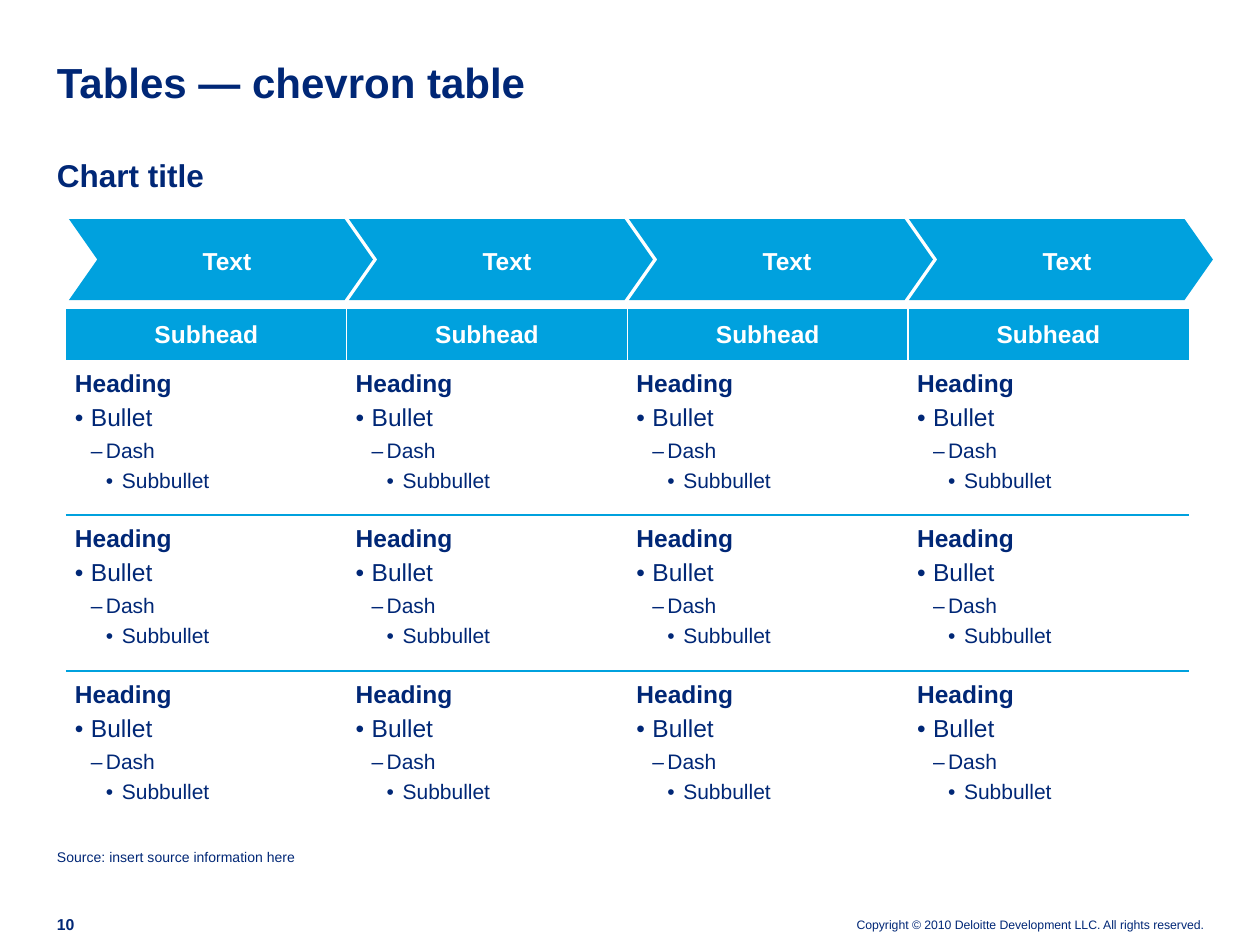
from lxml.etree import SubElement
from pptx import Presentation
from pptx.dml.color import RGBColor
from pptx.enum.shapes import MSO_SHAPE as Shape
from pptx.enum.text import MSO_ANCHOR as Anchor, PP_ALIGN as Align
from pptx.oxml.ns import qn
from pptx.util import Pt

SCALE = 914400 / 126
COLORS = {"navy": "002776", "blue": "00A1DE", "white": "FFFFFF"}
NO_STYLE = "{2D5ABB26-0587-4C30-8999-92F81FD0307C}"
COLUMNS = 4
ROW_HEIGHTS = [45, 155, 156, 181]
CELL_LINES = [
    ("Heading", 14, True, 49, -49, None),
    ("Bullet", 14, False, 16, -16, "•"),
    ("Dash", 12, False, 31, -15, "‒"),
    ("Subbullet", 12, False, 47, -16, "•"),
]


def px(value):
    return round(value * SCALE)


def rgb(name):
    return RGBColor.from_string(COLORS[name])


def style(paragraph, size, color, bold=False, align=Align.LEFT):
    paragraph.alignment = align
    for run in paragraph.runs:
        run.font.name = "Arial"
        run.font.size = Pt(size)
        run.font.bold = bold
        run.font.color.rgb = rgb(color)


def set_margins(target, left, top, right, bottom):
    target.margin_left, target.margin_top = px(left), px(top)
    target.margin_right, target.margin_bottom = px(right), px(bottom)


def add_label(slide, box, text, size, bold=False, align=Align.LEFT, anchor=Anchor.TOP):
    text_frame = slide.shapes.add_textbox(*map(px, box)).text_frame
    text_frame.word_wrap = True
    text_frame.vertical_anchor = anchor
    set_margins(text_frame, 0, 0, 0, 0)
    text_frame.text = text
    paragraph = text_frame.paragraphs[0]
    style(paragraph, size, "navy", bold, align)
    return paragraph


def add_chevrons(slide, box, pitch):
    left, top, width, height = box
    for index in range(COLUMNS):
        shape = slide.shapes.add_shape(
            Shape.CHEVRON, px(left + index * pitch), px(top), px(width), px(height))
        shape.adjustments[0] = 0.35
        shape.shadow.inherit = False
        shape.fill.solid()
        shape.fill.fore_color.rgb = rgb("blue")
        shape.line.fill.background()
        text_frame = shape.text_frame
        text_frame.word_wrap = True
        text_frame.vertical_anchor = Anchor.MIDDLE
        set_margins(text_frame, 25, 6, 13, 6)
        text_frame.text = "Text"
        paragraph = text_frame.paragraphs[0]
        paragraph.line_spacing = 1.06
        style(paragraph, 14, "white", True, Align.CENTER)


def add_borders(cell, sides, color):
    properties = cell._tc.get_or_add_tcPr()
    for index, side in enumerate(sides):
        line = SubElement(properties, qn(f"a:ln{side}"), w=str(Pt(1)))
        fill = SubElement(line, qn("a:solidFill"))
        SubElement(fill, qn("a:srgbClr"), val=COLORS[color])
        properties.insert(index, line)


def fill_header(cell, column):
    cell.fill.solid()
    cell.fill.fore_color.rgb = rgb("blue")
    cell.vertical_anchor = Anchor.MIDDLE
    set_margins(cell, 13, 10, 13, 10)
    cell.text_frame.text = "Subhead"
    paragraph = cell.text_frame.paragraphs[0]
    paragraph.line_spacing = 1.06
    style(paragraph, 14, "white", True, Align.CENTER)
    sides = ("L" if column > 0 else "") + ("R" if column < COLUMNS - 1 else "")
    add_borders(cell, sides, "white")


def fill_body(cell, row):
    cell.fill.background()
    cell.vertical_anchor = Anchor.TOP
    set_margins(cell, 9, 10, 9, 10)
    cell.text_frame.text = "\n".join(line[0] for line in CELL_LINES)
    for level, paragraph in enumerate(cell.text_frame.paragraphs):
        text, size, bold, margin, indent, bullet = CELL_LINES[level]
        paragraph.level = level
        if level:
            paragraph.space_before = Pt(4)
        properties = paragraph._p.get_or_add_pPr()
        properties.set("marL", str(px(margin)))
        properties.set("indent", str(px(indent)))
        if bullet:
            SubElement(properties, qn("a:buFont"), typeface="Arial")
            SubElement(properties, qn("a:buChar"), char=bullet)
        style(paragraph, size, "navy", bold)
    sides = ("T" if row > 1 else "") + ("B" if row < len(ROW_HEIGHTS) - 1 else "")
    add_borders(cell, sides, "blue")


def add_grid(slide, box):
    table = slide.shapes.add_table(len(ROW_HEIGHTS), COLUMNS, *map(px, box)).table
    table._tbl.tblPr.find(qn("a:tableStyleId")).text = NO_STYLE
    table.first_row = False
    table.horz_banding = False
    for column in table.columns:
        column.width = px(box[2] / COLUMNS)
    for row, height in enumerate(ROW_HEIGHTS):
        table.rows[row].height = px(height)
        for column in range(COLUMNS):
            cell = table.cell(row, column)
            if row == 0:
                fill_header(cell, column)
            else:
                fill_body(cell, row)


def add_footer(slide, box):
    left, top, width, height = box
    add_label(slide, (left + 764, top + 2, width - 764, height - 4),
              "Copyright © 2010 Deloitte Development LLC. All rights reserved.",
              7, align=Align.RIGHT, anchor=Anchor.BOTTOM)
    add_label(slide, (left, top, 37, height), "10", 9, True, anchor=Anchor.BOTTOM)


def build_chevron_table_slide(presentation):
    slide = presentation.slides.add_slide(presentation.slide_layouts[6])
    add_footer(slide, (57, 915, 1147, 19))
    title = add_label(slide, (57, 62, 1148, 45), "Tables — chevron table", 24, True,
                      anchor=Anchor.BOTTOM)
    title.line_spacing = Pt(26)
    add_grid(slide, (66, 309, 1123, sum(ROW_HEIGHTS)))
    add_chevrons(slide, (69, 219, 304, 81), 280)
    add_label(slide, (57, 156, 270, 38), "Chart title", 18, True)
    add_label(slide, (57, 848, 551, 18), "Source: insert source information here", 8)


def main():
    presentation = Presentation()
    presentation.slide_width, presentation.slide_height = px(1260), px(945)
    build_chevron_table_slide(presentation)
    presentation.save("out.pptx")


if __name__ == "__main__":
    main()
